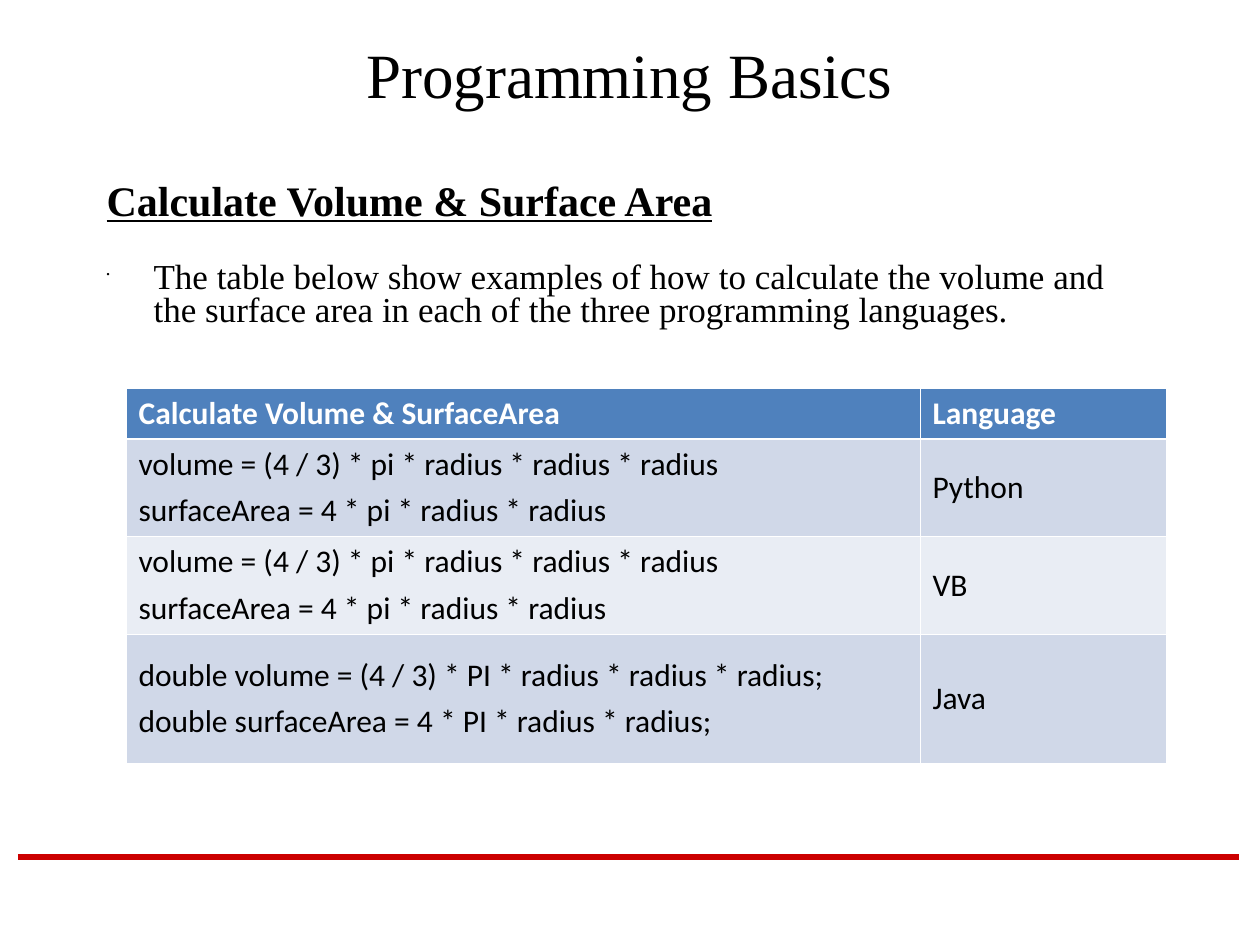
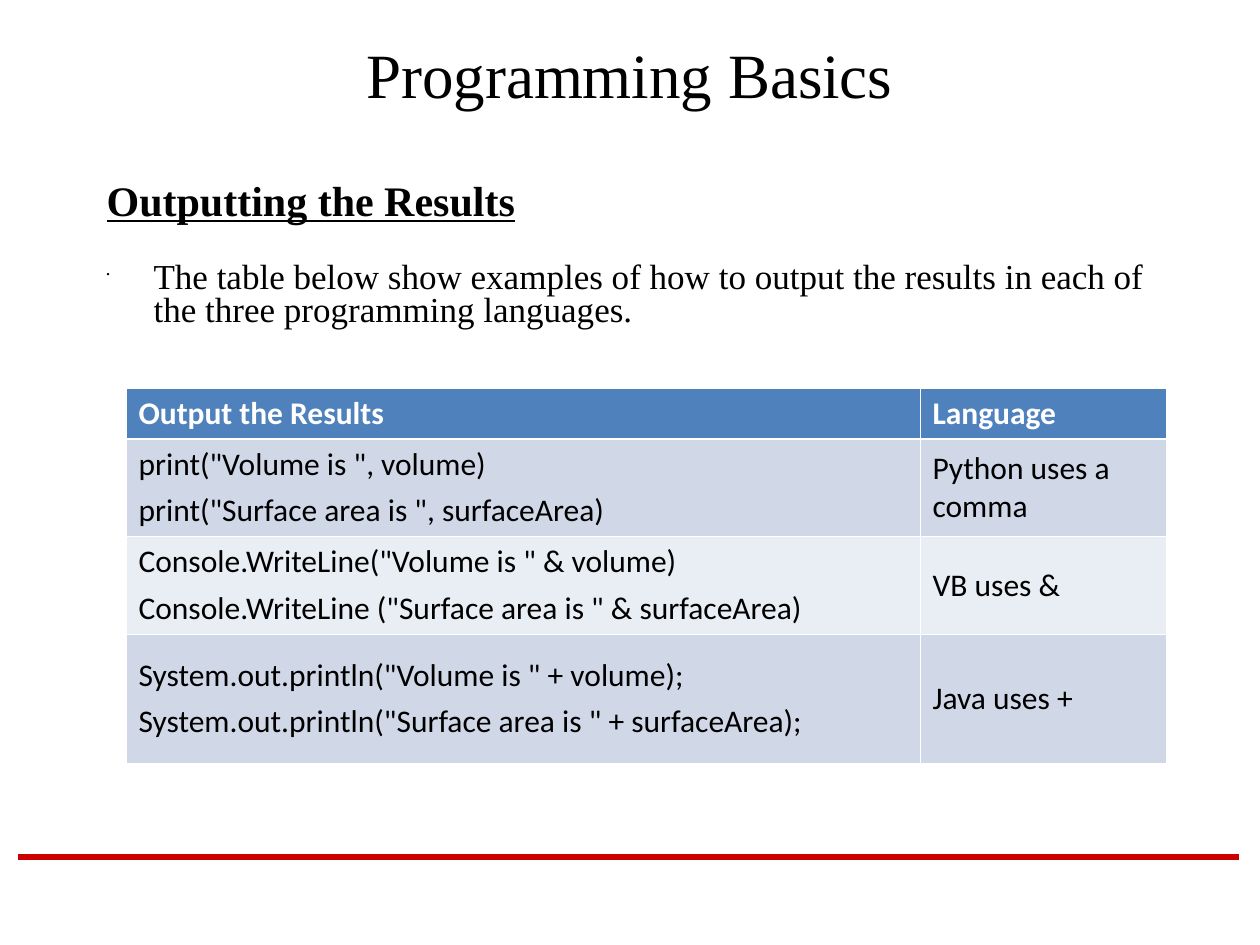
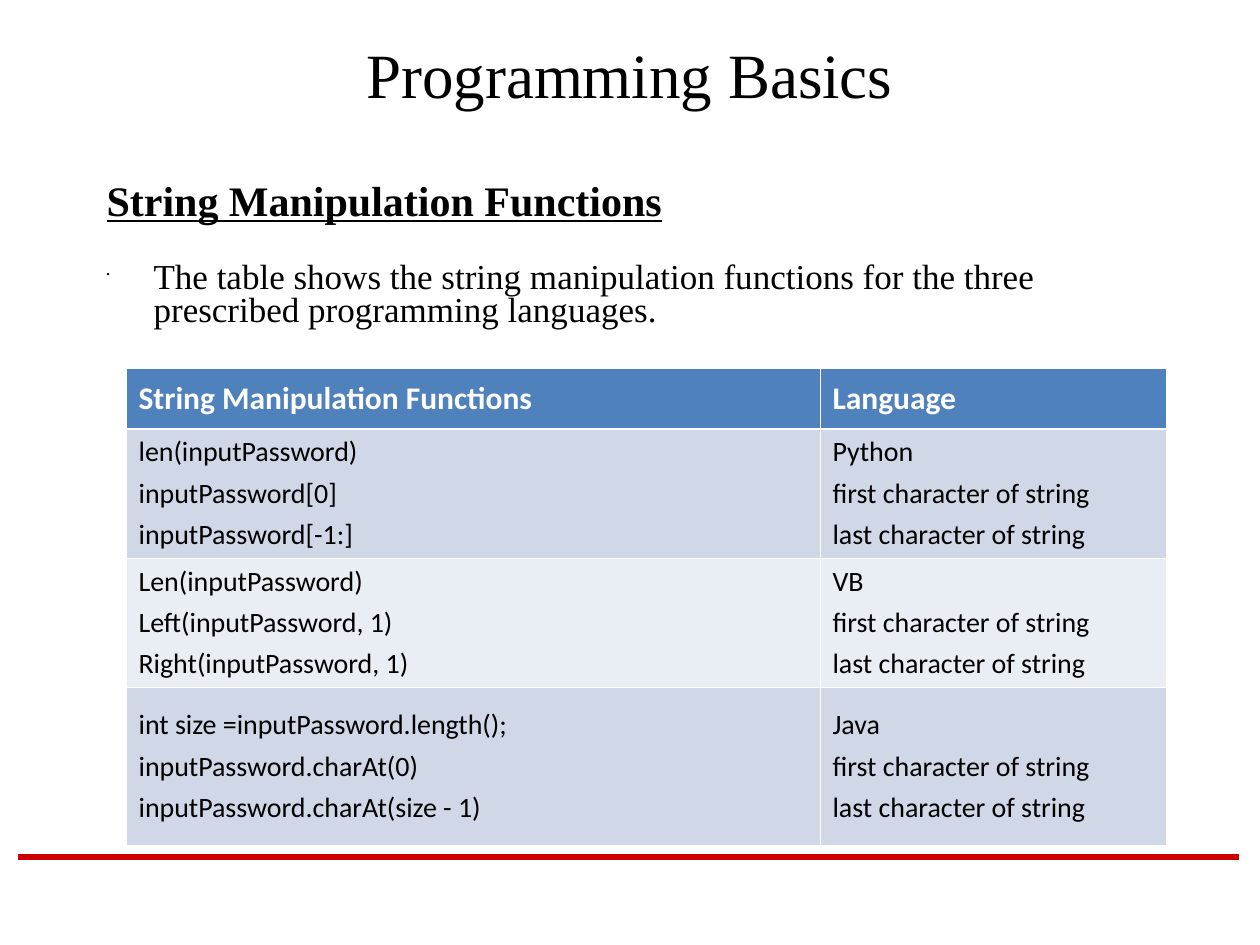
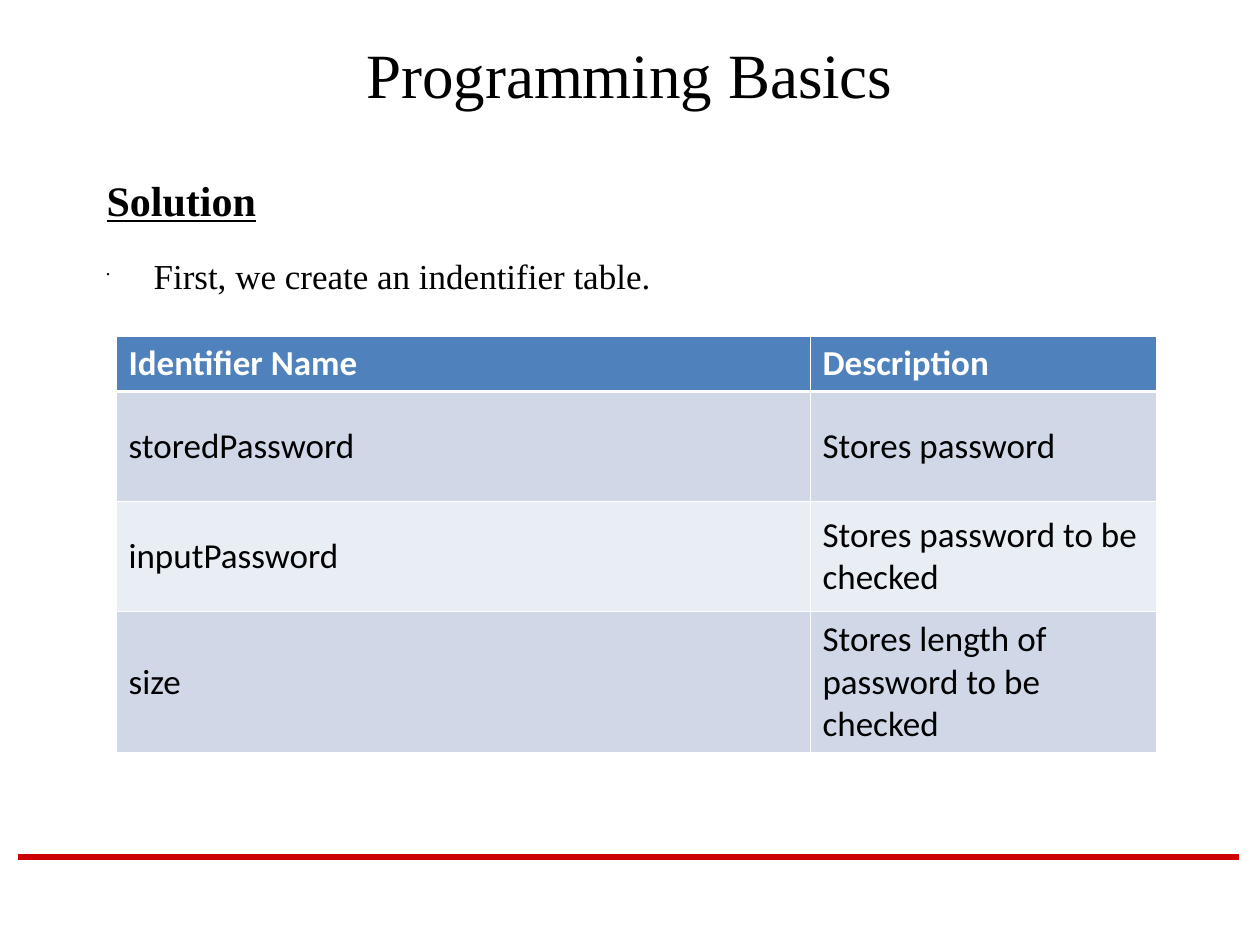
from lxml.etree import SubElement
from pptx import Presentation
from pptx.dml.color import RGBColor
from pptx.enum.shapes import MSO_CONNECTOR as Connector
from pptx.enum.text import MSO_ANCHOR as Anchor, MSO_AUTO_SIZE as AutoSize, PP_ALIGN as Align
from pptx.oxml.ns import qn
from pptx.util import Emu, Pt

TITLE = "Programming Basics"
CHARACTERS = ["first character of string", "last character of string"]
WIDE_CODE = dict(origin=(126, 388), widths=(794, 246), heights=(50, 97, 97, 129),
                 header_size=18, body_size=18)
STRING_GRID = dict(origin=(126, 368), widths=(694, 346), heights=(61, 127, 127, 158),
                   header_size=18, body_size=16)
IDENTIFIER_GRID = dict(origin=(116, 336), widths=(694, 346), heights=(55, 110, 110, 139),
                       header_size=20, body_size=20)

# Each topic: heading, explanation, table layout, table rows (cells are lists of lines)
TOPICS = [
    ("Calculate Volume & Surface Area",
     "The table below show examples of how to calculate the volume and the surface area "
     "in each of the three programming languages.",
     WIDE_CODE,
     [(["Calculate Volume & SurfaceArea"], ["Language"]),
      (["volume = (4 / 3) * pi * radius * radius * radius",
        "surfaceArea = 4 * pi * radius * radius"], ["Python"]),
      (["volume = (4 / 3) * pi * radius * radius * radius",
        "surfaceArea = 4 * pi * radius * radius"], ["VB"]),
      (["double volume = (4 / 3) * PI * radius * radius * radius;",
        "double surfaceArea = 4 * PI * radius * radius;"], ["Java"])]),
    ("Outputting the Results",
     "The table below show examples of how to output the results in each of the three "
     "programming languages.",
     WIDE_CODE,
     [(["Output the Results"], ["Language"]),
      (['print("Volume is ", volume)',
        'print("Surface area is ", surfaceArea)'], ["Python uses a comma"]),
      (['Console.WriteLine("Volume is " & volume)',
        'Console.WriteLine ("Surface area is " & surfaceArea)'], ["VB uses &"]),
      (['System.out.println("Volume is " + volume);',
        'System.out.println("Surface area is " + surfaceArea);'], ["Java uses +"])]),
    ("String Manipulation Functions",
     "The table shows the string manipulation functions for the three prescribed "
     "programming languages.",
     STRING_GRID,
     [(["String Manipulation Functions"], ["Language"]),
      (["len(inputPassword)", "inputPassword[0]", "inputPassword[-1:]"],
       ["Python", *CHARACTERS]),
      (["Len(inputPassword)", "Left(inputPassword, 1)", "Right(inputPassword, 1)"],
       ["VB", *CHARACTERS]),
      (["int size =inputPassword.length();", "inputPassword.charAt(0)",
        "inputPassword.charAt(size - 1)"], ["Java", *CHARACTERS])]),
    ("Solution",
     "First, we create an indentifier table.",
     IDENTIFIER_GRID,
     [(["Identifier Name"], ["Description"]),
      (["storedPassword"], ["Stores password"]),
      (["inputPassword"], ["Stores password to be checked"]),
      (["size"], ["Stores length of password to be checked"])]),
]

BLACK, WHITE, RED = "000000", "FFFFFF", "CC0000"
HEADER_FILL, BAND_FILLS = "4F81BD", ("E9EDF4", "D0D8E8")
SERIF, SANS = "Times New Roman", "Calibri"
THIN, THICK = 0.45, 1.47
TITLE_BOX = (94, 21, 1071, 105)
BODY_BOX = (94, 178, 1071, 567)
RULE_LEFT, RULE_RIGHT, RULE_Y = 18, 1239, 857
HANGING = 47


def px(count):
    return Emu(round(count * 914400 / 126))


def color(hex_code):
    return RGBColor.from_string(hex_code)


def place(shape, box):
    shape.left, shape.top, shape.width, shape.height = map(px, box)


def add_run(paragraph, text, size, face, hex_code, bold=False, underline=False):
    run = paragraph.add_run()
    run.text = text
    font = run.font
    font.size, font.name, font.bold, font.underline = Pt(size), face, bold, underline
    font.color.rgb = color(hex_code)


def hang(paragraph, bullet):
    """Give a hanging indent, with a small dot or with no bullet."""
    properties = paragraph._p.get_or_add_pPr()
    properties.set("marL", str(px(HANGING)))
    properties.set("indent", str(-px(HANGING)))
    if bullet:
        bullet_color = SubElement(properties, qn("a:buClr"))
        SubElement(bullet_color, qn("a:srgbClr"), val=BLACK)
        SubElement(properties, qn("a:buSzPct"), val="25000")
        SubElement(properties, qn("a:buChar"), char="•")
    else:
        SubElement(properties, qn("a:buNone"))
    paragraph.line_spacing = 0.8


def add_borders(cell, top, bottom):
    properties = cell._tc.get_or_add_tcPr()
    for side, points in (("L", THIN), ("R", THIN), ("T", top), ("B", bottom)):
        edge = SubElement(properties, qn(f"a:ln{side}"), w=str(Pt(points)))
        SubElement(SubElement(edge, qn("a:solidFill")), qn("a:srgbClr"), val=WHITE)


def fill_cell(cell, lines, row, layout):
    header = row == 0
    size = layout["header_size" if header else "body_size"]
    add_borders(cell, THICK if row == 1 else THIN, THICK if header else THIN)
    cell.fill.solid()
    cell.fill.fore_color.rgb = color(HEADER_FILL if header else BAND_FILLS[row % 2])
    cell.vertical_anchor = Anchor.MIDDLE
    for index, line in enumerate(lines):
        paragraph = cell.text_frame.paragraphs[0] if index == 0 else cell.text_frame.add_paragraph()
        paragraph.space_before = Pt(size / 4 if index else 0)
        add_run(paragraph, line, size, SANS, WHITE if header else BLACK, bold=header)


def add_grid(slide, layout, rows):
    widths, heights = layout["widths"], layout["heights"]
    box = (*layout["origin"], sum(widths), sum(heights))
    table = slide.shapes.add_table(len(rows), len(widths), *map(px, box)).table
    for column, width in zip(table.columns, widths):
        column.width = px(width)
    for row, (cells, height) in enumerate(zip(rows, heights)):
        table.rows[row].height = px(height)
        for column, lines in enumerate(cells):
            fill_cell(table.cell(row, column), lines, row, layout)


def move_rule_to_layout(slide):
    """Draw the red rule and hand it to the layout, so that every slide shows it."""
    rule = slide.shapes.add_connector(
        Connector.STRAIGHT, *map(px, (RULE_LEFT, RULE_Y, RULE_RIGHT, RULE_Y)))
    rule.line.color.rgb = color(RED)
    rule.line.width = Pt(3)
    SubElement(rule.element.spPr, qn("a:effectLst"))
    rule.element.nvCxnSpPr.cNvPr.id = 99
    slide.slide_layout.shapes.element.append(rule.element)


def add_topic(deck, layout, heading, explanation, grid, rows):
    slide = deck.slides.add_slide(layout)
    title = slide.shapes.title.text_frame
    title.vertical_anchor = Anchor.MIDDLE
    title.paragraphs[0].alignment = Align.CENTER
    add_run(title.paragraphs[0], TITLE, 36, SERIF, BLACK)

    body = slide.placeholders[1].text_frame
    body.auto_size = AutoSize.NONE
    first, second = body.paragraphs[0], body.add_paragraph()
    hang(first, bullet=False)
    first.space_before = Pt(0)
    add_run(first, heading, 24, SERIF, BLACK, bold=True, underline=True)
    hang(second, bullet=True)
    second.space_before = Pt(21.5)
    add_run(second, explanation, 20, SERIF, BLACK)

    add_grid(slide, grid, rows)


def main():
    deck = Presentation()
    deck.slide_width, deck.slide_height = px(1260), px(945)
    layout = deck.slide_layouts[1]
    place(layout.placeholders[0], TITLE_BOX)
    place(layout.placeholders[1], BODY_BOX)
    for topic in TOPICS:
        add_topic(deck, layout, *topic)
    move_rule_to_layout(deck.slides[0])
    deck.save("out.pptx")


if __name__ == "__main__":
    main()
